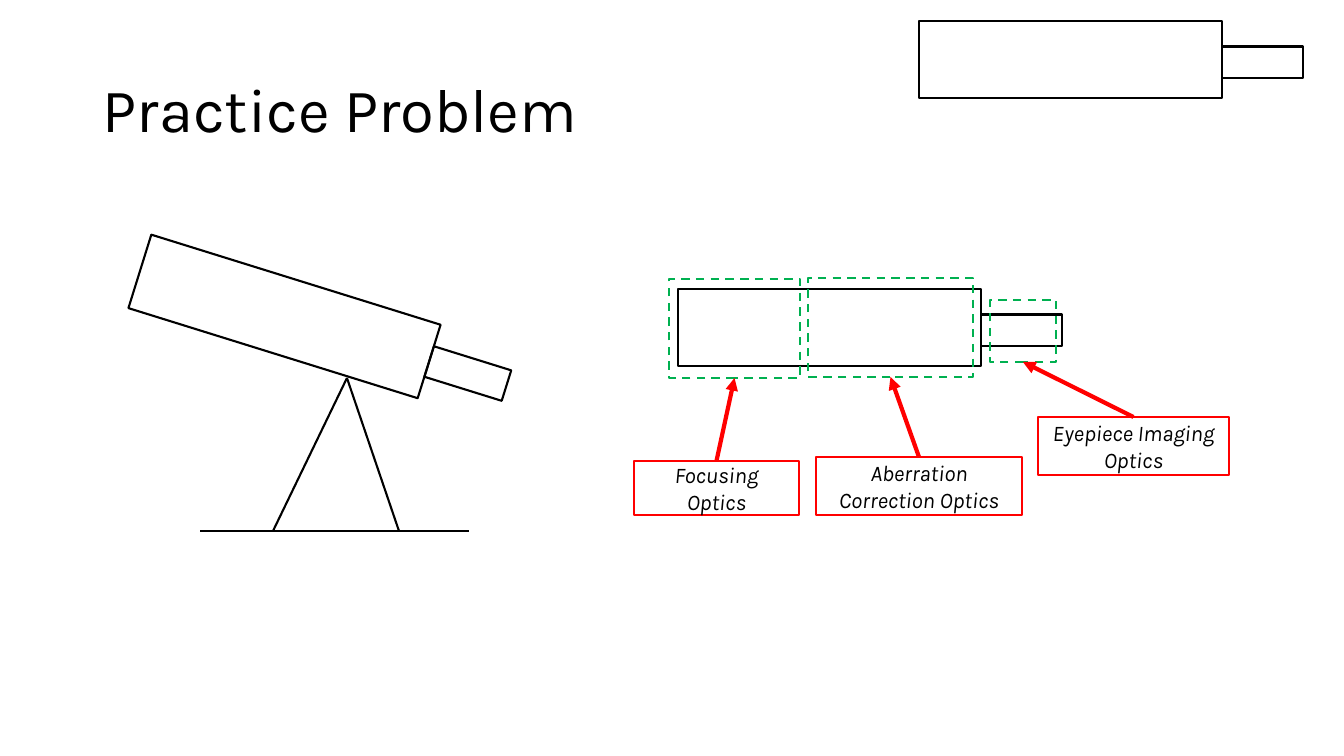
"""Builds the telescope practice problem slide."""
from math import cos, radians, sin

from lxml import etree
from pptx import Presentation
from pptx.dml.color import RGBColor
from pptx.enum.dml import MSO_LINE
from pptx.enum.shapes import MSO_CONNECTOR, MSO_SHAPE
from pptx.enum.text import MSO_ANCHOR, PP_ALIGN
from pptx.oxml.ns import qn
from pptx.util import Pt

RECT = MSO_SHAPE.RECTANGLE
STRAIGHT = MSO_CONNECTOR.STRAIGHT
DASH = MSO_LINE.DASH
MIDDLE = MSO_ANCHOR.MIDDLE
CENTER = PP_ALIGN.CENTER
TOP, BOTTOM = 0, 2
EMU_PER_INCH, PX_PER_INCH = 914400, 100.8
FONT = "Karla"
COLORS = {"ink": "000000", "paper": "FFFFFF", "callout": "FF0000", "zone": "00B050"}

TUBE_W, TUBE_H = 303, 77
EYE_W, EYE_H = 81, 32

PARTS = [
    ("Focusing Optics", (634, 461, 165, 54), (669, 279, 131, 99)),
    ("Aberration Correction Optics", (816, 457, 206, 58), (808, 278, 165, 99)),
    ("Eyepiece Imaging Optics", (1038, 417, 191, 58), (990, 300, 66, 62)),
]


def px(n):
    """Turn pixels into EMU."""
    return round(n * EMU_PER_INCH / PX_PER_INCH)


def rgb(name):
    """Look up a named colour."""
    return RGBColor.from_string(COLORS[name])


def add_run(tf, text, size, italic=False):
    """Add a run to the first paragraph and return that paragraph."""
    p = tf.paragraphs[0]
    r = p.add_run()
    r.text = text
    r.font.name = FONT
    r.font.size = Pt(size)
    r.font.italic = italic
    r.font.color.rgb = rgb("ink")
    return p


def add_title(s, text):
    """Add the slide title."""
    tf = s.shapes.add_textbox(px(93), px(40), px(1159), px(146)).text_frame
    tf.word_wrap = True
    tf.vertical_anchor = MIDDLE
    add_run(tf, text, 44).line_spacing = 0.9


def add_box(s, x, y, w, h, color, fill=None, angle=0):
    """Add an outlined rectangle, hollow unless a fill is named."""
    sp = s.shapes.add_shape(RECT, px(x), px(y), px(w), px(h))
    sp.shadow.inherit = False
    sp.rotation = angle
    sp.line.color.rgb = rgb(color)
    sp.line.width = Pt(1.5)
    if fill:
        sp.fill.solid()
        sp.fill.fore_color.rgb = rgb(fill)
    else:
        sp.fill.background()
    return sp


def add_line(s, x1, y1, x2, y2, color="ink", width=1.5):
    """Add a straight line without shadow."""
    cn = s.shapes.add_connector(STRAIGHT, px(x1), px(y1), px(x2), px(y2))
    cn.line.color.rgb = rgb(color)
    cn.line.width = Pt(width)
    etree.SubElement(cn._element.spPr, qn("a:effectLst"))
    return cn


def add_arrow(s, start, end):
    """Add a red arrow from the top of one box to the bottom of another."""
    cn = add_line(s, 0, 0, 0, 0, "callout", 3)
    cn.begin_connect(start, TOP)
    cn.end_connect(end, BOTTOM)
    etree.SubElement(cn.line._get_or_add_ln(), qn("a:tailEnd"), type="triangle")


def add_telescope(s, x, y, angle=0, drop=3):
    """Add a tube and its eyepiece, both turned about the tube's centre."""
    add_box(s, x, y, TUBE_W, TUBE_H, "ink", angle=angle)
    a = radians(angle)
    reach = (TUBE_W + EYE_W) / 2
    cx = x + TUBE_W / 2 + reach * cos(a) - drop * sin(a)
    cy = y + TUBE_H / 2 + reach * sin(a) + drop * cos(a)
    add_box(s, cx - EYE_W / 2, cy - EYE_H / 2, EYE_W, EYE_H, "ink", angle=angle)


def add_stand(s):
    """Add the two legs and the ground."""
    for foot in (273, 399):
        add_line(s, 347, 378, foot, 531)
    add_line(s, 469, 531, 200, 531)


def add_part(s, text, label_box, zone_box):
    """Add a dashed zone with its label and the arrow between them."""
    zone = add_box(s, *zone_box, "zone")
    zone.line.dash_style = DASH
    label = add_box(s, *label_box, "callout", "paper")
    tf = label.text_frame
    tf.word_wrap = True
    tf.vertical_anchor = MIDDLE
    add_run(tf, text, 16, italic=True).alignment = CENTER
    add_arrow(s, label, zone)


def main():
    """Build and save the slide."""
    prs = Presentation()
    prs.slide_width, prs.slide_height = px(1344), px(756)
    s = prs.slides.add_slide(prs.slide_layouts[6])
    add_title(s, "Practice Problem")
    add_telescope(s, 133, 278, angle=17.3, drop=0)
    add_stand(s)
    add_telescope(s, 678, 289)
    add_telescope(s, 919, 21)
    for part in PARTS:
        add_part(s, *part)
    prs.save("out.pptx")


if __name__ == "__main__":
    main()
